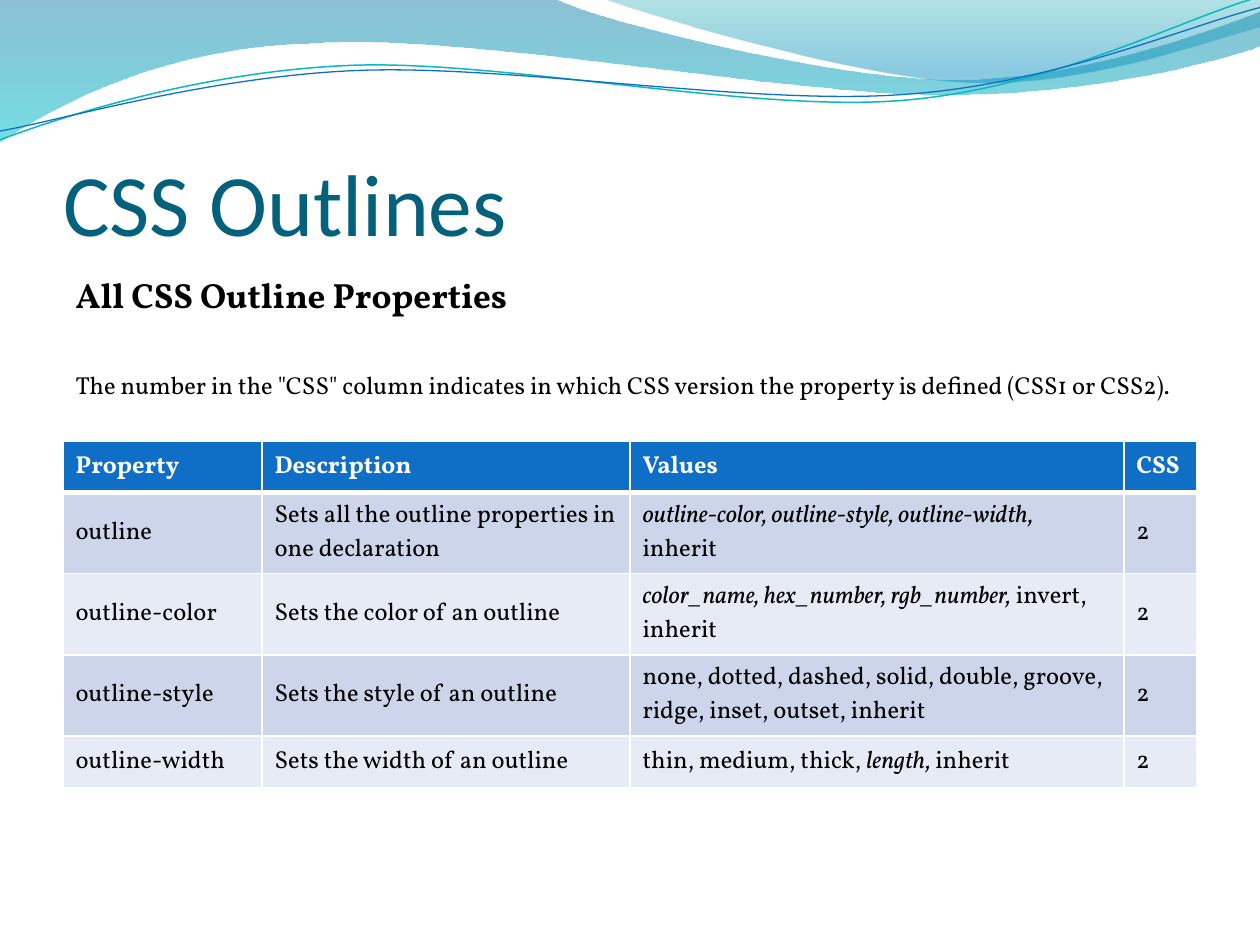
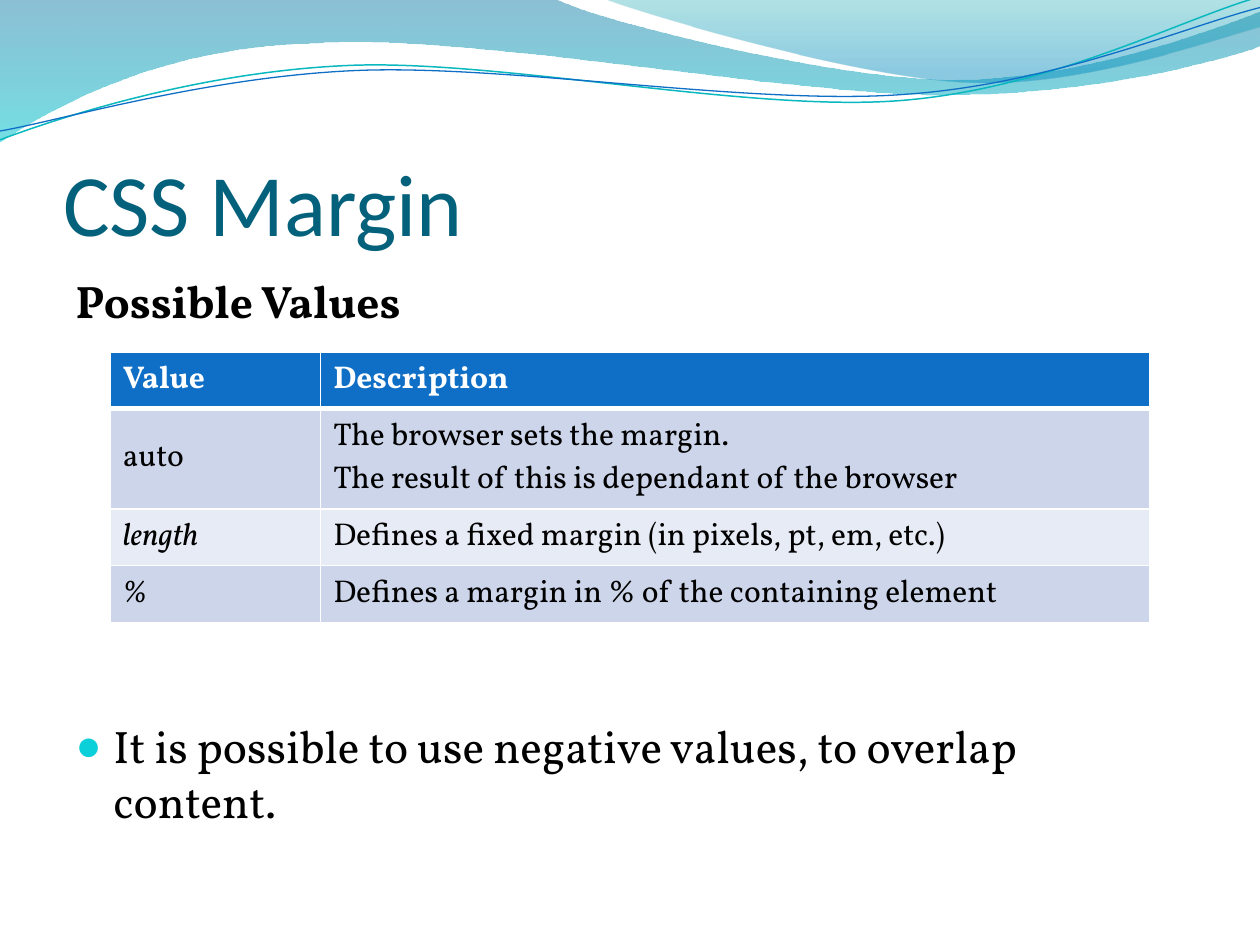
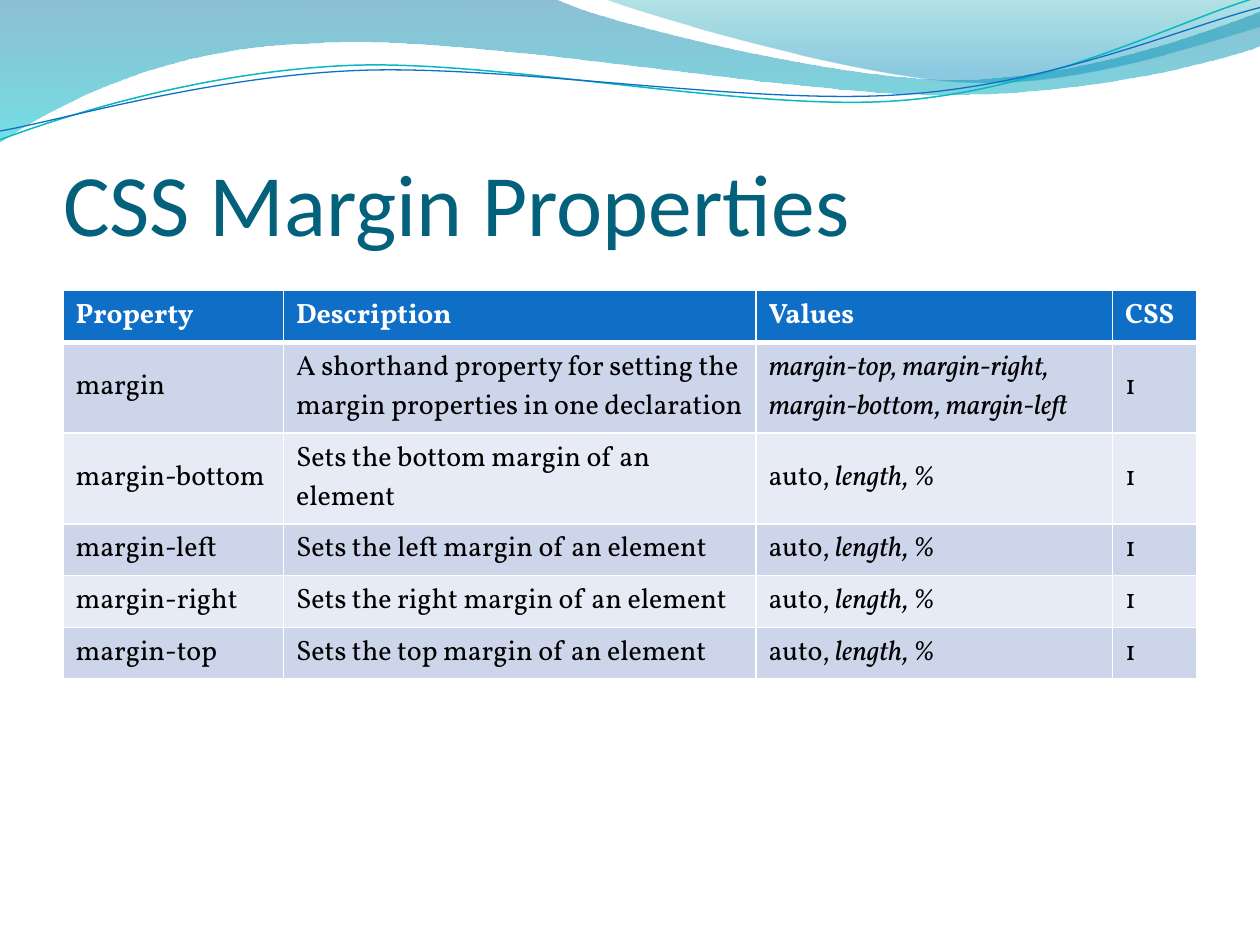
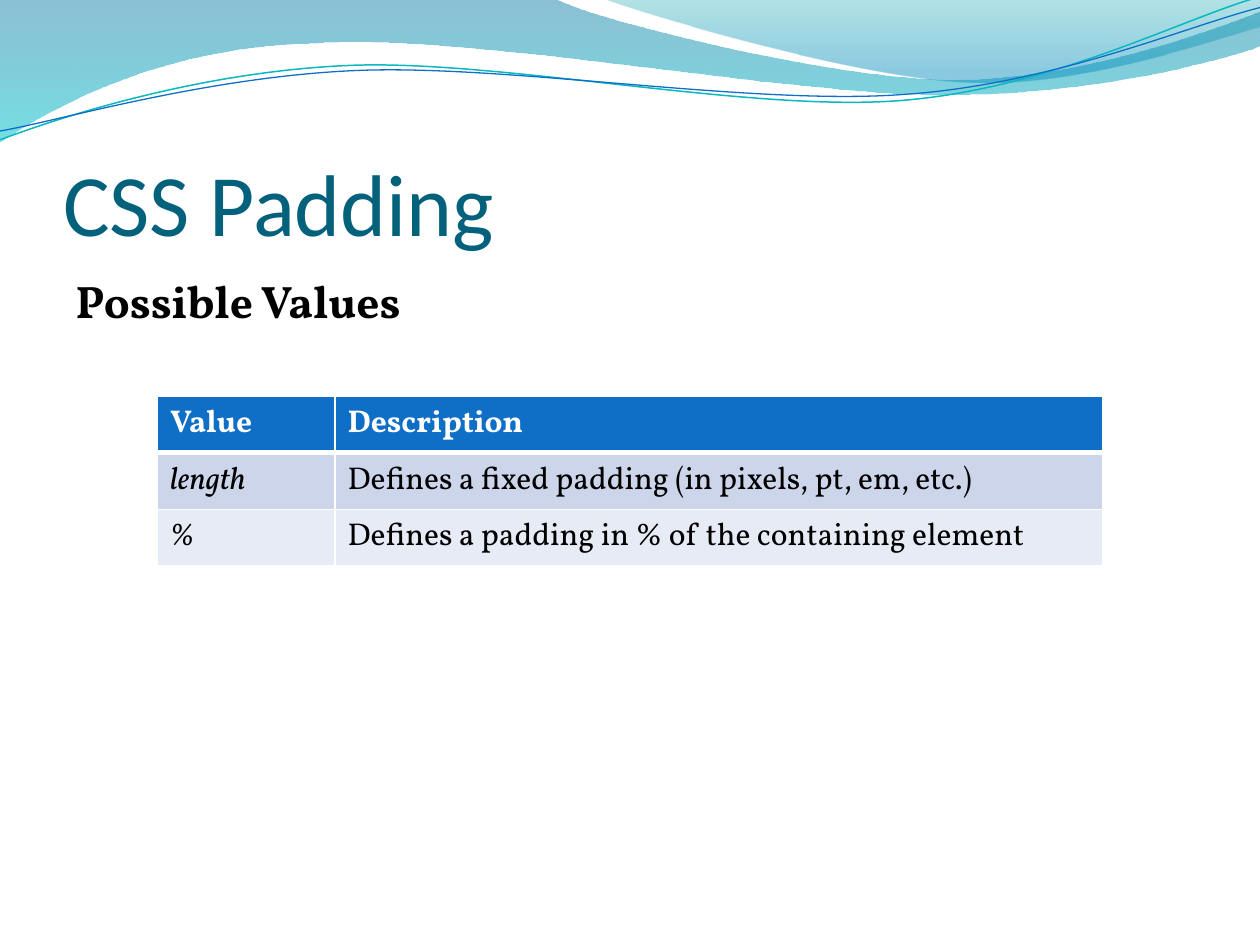
from lxml.etree import Element, SubElement
from pptx import Presentation
from pptx.dml.color import RGBColor
from pptx.enum.text import MSO_ANCHOR, MSO_AUTO_SIZE, PP_ALIGN
from pptx.oxml.ns import qn
from pptx.util import Inches, Pt

# ---- Theme: colours, fonts and type looks ----
THEME = {
    "head": "0F6FC6", "bands": ("CCD5EA", "E7EBF5"), "dot": "0BD0D9",
    "rule": "FFFFFF",
    "title": {"name": "Calibri", "size": 50, "color": "04617B"},
    "text": {"name": "Vollkorn", "color": "000000"},
    "label": {"name": "Vollkorn", "color": "FFFFFF", "bold": True},
    "before": 0.2,
}
EDGES = {"lnL": 1, "lnR": 1, "lnT": 1, "lnB": 3}  # header borders in points

deck = Presentation()
deck.slide_width, deck.slide_height = Inches(10), Inches(7.5)
UNIT = deck.slide_width / 100  # square grid, 100 columns by 75 rows
INDENT = int(3 * UNIT)
TITLE_BOX = (5, 7.7, 90, 12.5)
BODY_BOX = (5, 21.2, 90, 48)
ROW = 4.1


def place(box):
    """Turn grid columns and rows into left, top, width and height."""
    return dict(zip(("left", "top", "width", "height"),
                    (int(n * UNIT) for n in box)))


def write(para, text, look):
    """Write text in a look; *stars* mark italics, newlines break the line."""
    for i, part in enumerate(text.split("*")):
        for j, line in enumerate(part.split("\n")):
            if j:
                para.add_line_break()
            if not line:
                continue
            run = para.add_run()
            run.text = line
            for key, value in look.items():
                if key == "color":
                    run.font.color.rgb = RGBColor.from_string(value)
                else:
                    setattr(run.font, key, Pt(value) if key == "size" else value)
            if i % 2:
                run.font.italic = True


# ---- Content: body items are (text, size, bold, bullet, space before) ----
VALUES = "auto, *length, %*"
SLIDES = [
    {"title": "CSS Outlines",
     "body": [("All CSS Outline Properties", 20, True, False, None),
              ('The number in the "CSS" column indicates in which CSS version '
               "the property is defined (CSS1 or CSS2).", 14, False, False, 31)],
     "box": (5, 35, 90, 25.1), "cols": (15.8, 29.2, 39.2, 5.8), "size": 14,
     "rows": [
         ("Property", "Description", "Values", "CSS"),
         ("outline ", "Sets all the outline properties in one declaration",
          "*outline-color, outline-style, outline-width, *inherit", "2"),
         ("outline-color ", "Sets the color of an outline",
          "*color_name, hex_number, rgb_number, *invert, inherit", "2"),
         ("outline-style ", "Sets the style of an outline",
          "none, dotted, dashed, solid, double, groove, ridge, inset, outset, "
          "inherit", "2"),
         ("outline-width ", "Sets the width of an outline",
          "thin, medium, thick, *length, *inherit", "2")]},
    {"title": "CSS Margin",
     "body": [("Possible Values", 26, True, False, None),
              ("It is possible to use negative values, to overlap content.",
               26, False, True, 223)],
     "box": (8.75, 27.95, 82.5, 19.2), "cols": (16.7, 65.8), "size": 18,
     "rows": [
         ("Value", "Description"),
         ("auto", "The browser sets the margin.\n"
                  "The result of this is dependant of the browser"),
         ("*length*", "Defines a fixed margin (in pixels, pt, em, etc.) "),
         ("*%*", "Defines a margin in % of the containing element")]},
    {"title": "CSS Margin Properties", "body": [],
     "box": (5, 23.05, 90, 28.9), "cols": (17.5, 37.5, 28.3, 6.7), "size": 16,
     "rows": [
         ("Property", "Description", "Values", "CSS"),
         ("margin", "A shorthand property for setting the margin properties "
                    "in one declaration",
          "*margin-top, margin-right, margin-bottom, margin-left*", "1"),
         *((f"margin-{side}", f"Sets the {side} margin of an element", VALUES, "1")
           for side in ("bottom", "left", "right", "top"))]},
    {"title": "CSS Padding",
     "body": [("Possible Values", 26, True, False, None)],
     "box": (12.5, 31.45, 75, 12.2), "cols": (14.1, 60.9), "size": 18,
     "rows": [
         ("Value", "Description"),
         ("*length*", "Defines a fixed padding (in pixels, pt, em, etc.)"),
         ("*%*", "Defines a padding in % of the containing element")]},
]

# ---- Waves: a pair is a line's end, six numbers are a curve ----
# Paint is a list of (position, colour, opacity) or one (colour, width).
WAVES = [
    ([(0, 0), (4.4, -0.01), (4.76, 0.17, 6.64, 0.63, 7.58, 0.63),
      (8.53, 0.63, 9.58, 0.26, 10, 0.09), (10.01, 0.36),
      (9.83, 0.44, 8.7, 0.76, 7.46, 0.75), (6.22, 0.75, 3.82, 0.28, 2.57, 0.34),
      (1.29, 0.36, 0.46, 0.83, -0.01, 1.13), (0, 0)],
     [(0, "0074A1", 45), (1, "00C6CF", 55)]),
    ([(4.79, -0.01), (5.09, 0.11, 6.82, 0.62, 7.69, 0.65),
      (8.56, 0.69, 9.61, 0.32, 10, 0.21), (10, 0), (4.79, -0.01)],
     [(0, "00A1A9", 30), (0.8, "008BBF", 45)]),
    ([(0, 1.11), (0.48, 0.93, 1.58, 0.57, 2.77, 0.52),
      (3.95, 0.47, 5.93, 0.89, 7.13, 0.8), (8.33, 0.71, 9.38, 0.15, 9.98, -0.02)],
     ("0AB8BF", 0.85)),
    ([(0, 1.04), (0.47, 0.96, 1.64, 0.61, 2.83, 0.56),
      (4.03, 0.51, 5.97, 0.84, 7.17, 0.75), (8.36, 0.67, 9.41, 0.21, 10, 0.06)],
     ("0F6FC6", 0.75)),
]

# ---- Slides ----
for page in SLIDES:
    slide = deck.slides.add_slide(deck.slide_layouts[1 if page["body"] else 5])

    title = slide.shapes.title
    for key, value in place(TITLE_BOX).items():
        setattr(title, key, value)
    frame = title.text_frame
    for key, value in {"margin_left": 0, "margin_right": 0, "margin_bottom": 0,
                       "vertical_anchor": MSO_ANCHOR.BOTTOM,
                       "auto_size": MSO_AUTO_SIZE.NONE}.items():
        setattr(frame, key, value)
    frame.paragraphs[0].alignment = PP_ALIGN.LEFT
    write(frame.paragraphs[0], page["title"], THEME["title"])

    if page["body"]:
        body = slide.placeholders[1]
        for key, value in place(BODY_BOX).items():
            setattr(body, key, value)
        frame = body.text_frame
        frame.auto_size = MSO_AUTO_SIZE.NONE
        for i, (text, size, bold, bullet, gap) in enumerate(page["body"]):
            para = frame.add_paragraph() if i else frame.paragraphs[0]
            para.space_before = Pt(gap or size * THEME["before"])
            props = para._p.get_or_add_pPr()
            props.set("marL", str(INDENT))
            props.set("indent", str(-INDENT))
            if bullet:
                tint = SubElement(props, qn("a:buClr"))
                SubElement(tint, qn("a:srgbClr"), val=THEME["dot"])
                SubElement(props, qn("a:buSzPct"), val="95000")
                SubElement(props, qn("a:buChar"), char="●")
            else:
                SubElement(props, qn("a:buNone"))
            write(para, text, {**THEME["text"], "size": size, "bold": bold})

    rows, cols = page["rows"], page["cols"]
    box = place(page["box"])
    holder = slide.shapes.add_table(len(rows), len(cols), **box)
    table = holder.table
    for col, width in zip(table.columns, cols):
        col.width = int(width * UNIT)
    for i, (row, texts) in enumerate(zip(table.rows, rows)):
        row.height = int(ROW * UNIT)
        fill = THEME["bands"][(i - 1) % 2] if i else THEME["head"]
        look = {**THEME["text" if i else "label"], "size": page["size"]}
        for cell, text in zip(row.cells, texts):
            cell.fill.solid()
            cell.fill.fore_color.rgb = RGBColor.from_string(fill)
            cell.vertical_anchor = MSO_ANCHOR.MIDDLE
            write(cell.text_frame.paragraphs[0], text, look)
            if i == 0:
                props = cell._tc.get_or_add_tcPr()
                for n, (edge, width) in enumerate(EDGES.items()):
                    line = Element(qn(f"a:{edge}"), w=str(Pt(width)))
                    ink = SubElement(line, qn("a:solidFill"))
                    SubElement(ink, qn("a:srgbClr"), val=THEME["rule"])
                    props.insert(n, line)
    holder.height = box["height"]

# ---- Waves drawn once, then moved behind everything on the master ----
tree = deck.slide_master.shapes.element
for i, (steps, paint) in enumerate(WAVES):
    dots = [(Inches(x), Inches(y)) for step in steps
            for x, y in zip(step[::2], step[1::2])]
    filled = isinstance(paint, list)
    pen = deck.slides[0].shapes.build_freeform(*dots[0])
    pen.add_line_segments(dots[1:], close=filled)
    wave = pen.convert_to_shape()
    wave.name = f"Wave {i + 1}"
    wave.shadow.inherit = False

    # Every three points of a curve join into one cubic segment
    outline = next(wave.element.iter(qn("a:path")))
    lines = iter(list(outline.iter(qn("a:lnTo"))))
    for step in steps[1:]:
        curve = next(lines)
        if len(step) == 6:
            curve.tag = qn("a:cubicBezTo")
            for extra in (next(lines), next(lines)):
                curve.append(extra[0])
                outline.remove(extra)

    if filled:
        wave.line.fill.background()
        wave.fill.gradient()
        wave.fill.gradient_angle = 270
        for stop, (spot, tint, alpha) in zip(wave.fill.gradient_stops, paint):
            stop.position = spot
            stop.color.rgb = RGBColor.from_string(tint)
        tints = wave.element.spPr.iter(qn("a:srgbClr"))
        for node, (spot, tint, alpha) in zip(tints, paint):
            SubElement(node, qn("a:alpha"), val=str(alpha * 1000))
    else:
        wave.fill.background()
        wave.line.color.rgb = RGBColor.from_string(paint[0])
        wave.line.width = Pt(paint[1])
    wave.element.nvSpPr.cNvPr.set("id", str(50 + i))
    tree.insert(2 + i, wave.element)

deck.save("out.pptx")
